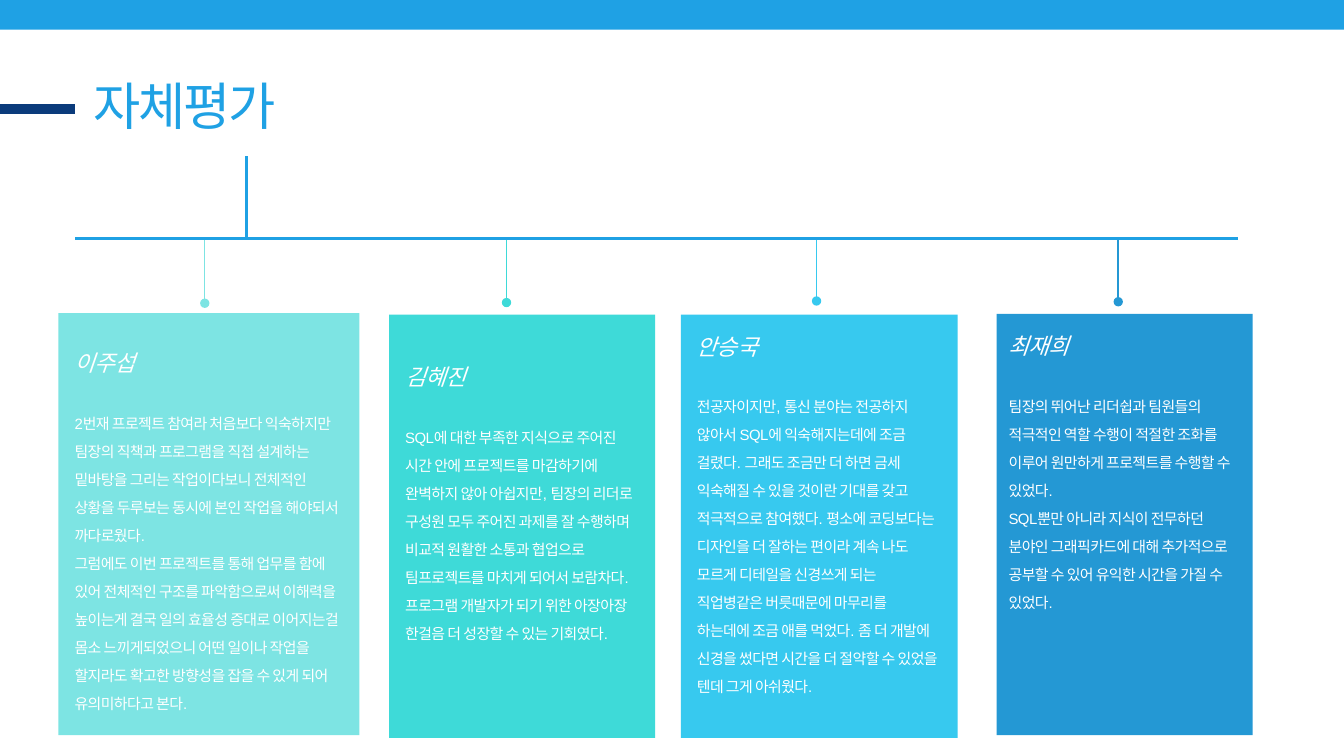
from pptx import Presentation
from pptx.dml.color import RGBColor
from pptx.enum.shapes import MSO_CONNECTOR as CONN, MSO_SHAPE as SHAPE
from pptx.enum.text import MSO_ANCHOR as ANCHOR, MSO_AUTO_SIZE as AUTO, PP_ALIGN as ALIGN
from pptx.oxml.ns import qn
from pptx.util import Pt

WIDTH, HEIGHT = 1440, 810
BLUE, NAVY, WHITE = "1FA1E4", "0B3B7B", "FFFFFF"
RAIL_Y = 255.6
LINE = 30

TITLE = dict(size=Pt(55), name="Calibri", italic=False, bold=False)
NAME = dict(size=Pt(24), name="Calibri", italic=True)
BODY = dict(size=Pt(16), name="Arial", italic=False)

# card box, text box relative to the card, pin centre
MEMBERS = [
    dict(name="이주섭", color="7DE4E3", box=(62.6, 335.5, 322.6, 452.2),
         text=(13, 29.5, 296.6, 406), pin=(219.4, 324.9), body=[
        "2번재 프로젝트 참여라 처음보다 익숙하지만 팀장의 직책과 프로그램을 직접 설계하는 "
        "밑바탕을 그리는 작업이다보니 전체적인 상황을 두루보는 동시에 본인 작업을 해야되서 까다로웠다.",
        "그럼에도 이번 프로젝트를 통해 업무를 함에 있어 전체적인 구조를 파악함으로써 이해력을 "
        "높이는게 결국 일의 효율성 증대로 이어지는걸 몸소 느끼게되었으니 어떤 일이나 작업을 "
        "할지라도 확고한 방향성을 잡을 수 있게 되어 유의미하다고 본다."]),
    dict(name="김혜진", color="3EDAD8", box=(416.9, 337, 285.1, 453.6),
         text=(13, -41, 263.5, 484.6), pin=(542.7, 324.2), body=[
        "SQL에 대한 부족한 지식으로 주어진 시간 안에 프로젝트를 마감하기에 완벽하지 않아 "
        "아쉽지만, 팀장의 리더로 구성원 모두 주어진 과제를 잘 수행하며 비교적 원활한 소통과 "
        "협업으로 팀프로젝트를 마치게 되어서 보람차다.",
        "프로그램 개발자가 되기 위한 아장아장 한걸음 더 성장할 수 있는 기회였다."]),
    dict(name="안승국", color="37C9EF", box=(729.4, 337, 296.6, 453.6),
         text=(13, 4.3, 270, 418.3), pin=(874.9, 322.5), body=[
        "전공자이지만, 통신 분야는 전공하지 않아서 SQL에 익숙해지는데에 조금 걸렸다. 그래도 "
        "조금만 더 하면 금세 익숙해질 수 있을 것이란 기대를 갖고 적극적으로 참여했다. 평소에 "
        "코딩보다는 디자인을 더 잘하는 편이라 계속 나도 모르게 디테일을 신경쓰게 되는 "
        "직업병같은 버릇때문에 마무리를 하는데에 조금 애를 먹었다. 좀 더 개발에 신경을 썼다면 "
        "시간을 더 절약할 수 있었을 텐데 그게 아쉬웠다."]),
    dict(name="최재희", color="2498D4", box=(1067.8, 336.2, 274.3, 451.4),
         text=(8.6, -72.7, 256.3, 482.4), pin=(1198.1, 323.3), body=[
        "팀장의 뛰어난 리더쉽과 팀원들의 적극적인 역할 수행이 적절한 조화를 이루어 원만하게 "
        "프로젝트를 수행할 수 있었다.",
        "SQL뿐만 아니라 지식이 전무하던 분야인 그래픽카드에 대해 추가적으로 공부할 수 있어 "
        "유익한 시간을 가질 수 있었다."]),
]


def rgb(color):
    return RGBColor.from_string(color)


def add_block(s, kind, box, color):
    sp = s.shapes.add_shape(kind, *map(Pt, box))
    sp.shadow.inherit = False
    sp.fill.solid()
    sp.fill.fore_color.rgb = rgb(color)
    sp.line.fill.background()


def add_line(s, x1, y1, x2, y2, color, width):
    ln = s.shapes.add_connector(CONN.STRAIGHT, Pt(x1), Pt(y1), Pt(x2), Pt(y2))
    ln.line.color.rgb = rgb(color)
    ln.line.width = Pt(width)
    sp_pr = ln._element.spPr
    sp_pr.append(sp_pr.makeelement(qn("a:effectLst"), {}))


def write(p, text, style, color, spacing, line, before=0):
    """Fill a paragraph; spacing is the letter spacing in points."""
    p.alignment = ALIGN.LEFT
    p.line_spacing = Pt(line)
    p.space_before = Pt(before)
    r = p.add_run()
    r.text = text
    for key, value in style.items():
        setattr(r.font, key, value)
    r.font.color.rgb = rgb(color)
    r._r.get_or_add_rPr().set("spc", str(round(spacing * 100)))


def set_frame(tf, inset, anchor):
    tf.word_wrap = True
    tf.auto_size = AUTO.NONE
    tf.vertical_anchor = anchor
    for side in ("left", "top", "right", "bottom"):
        setattr(tf, f"margin_{side}", Pt(inset))


def add_header(s):
    add_block(s, SHAPE.RECTANGLE, (0, 0, WIDTH, 31.7), BLUE)
    add_line(s, 0, 116.6, 80.6, 116.6, NAVY, 11.25)
    title = s.shapes.title
    title.left, title.top, title.width, title.height = map(Pt, (100, 80, 520.6, 76.3))
    set_frame(title.text_frame, 0, ANCHOR.TOP)
    write(title.text_frame.paragraphs[0], "자체평가", TITLE, BLUE, -2.2, 66)


def add_rail(s):
    add_line(s, 80.6, RAIL_Y, 1326.2, RAIL_Y, BLUE, 3)
    add_line(s, 264.2, RAIL_Y, 264.2, 167, BLUE, 3)


def add_pin(s, x, y, color, size=10):
    add_line(s, x, RAIL_Y + 1, x, y, color, 1.6)
    add_block(s, SHAPE.OVAL, (x - size / 2, y - size / 2, size, size), color)


def add_card(s, member):
    left, top, _, _ = member["box"]
    dx, dy, width, height = member["text"]
    add_block(s, SHAPE.RECTANGLE, member["box"], member["color"])
    tb = s.shapes.add_textbox(Pt(left + dx), Pt(top + dy), Pt(width), Pt(height))
    tf = tb.text_frame
    set_frame(tf, 4.3, ANCHOR.MIDDLE)
    write(tf.paragraphs[0], member["name"], NAME, WHITE, -0.6, LINE)
    for i, text in enumerate(member["body"]):
        write(tf.add_paragraph(), text, BODY, WHITE, -0.6, LINE, 0 if i else LINE)


def main():
    prs = Presentation()
    prs.slide_width, prs.slide_height = Pt(WIDTH), Pt(HEIGHT)
    s = prs.slides.add_slide(prs.slide_layouts[5])
    add_header(s)
    for member in MEMBERS:
        add_card(s, member)
        add_pin(s, *member["pin"], member["color"])
    add_rail(s)
    prs.save("out.pptx")


if __name__ == "__main__":
    main()
